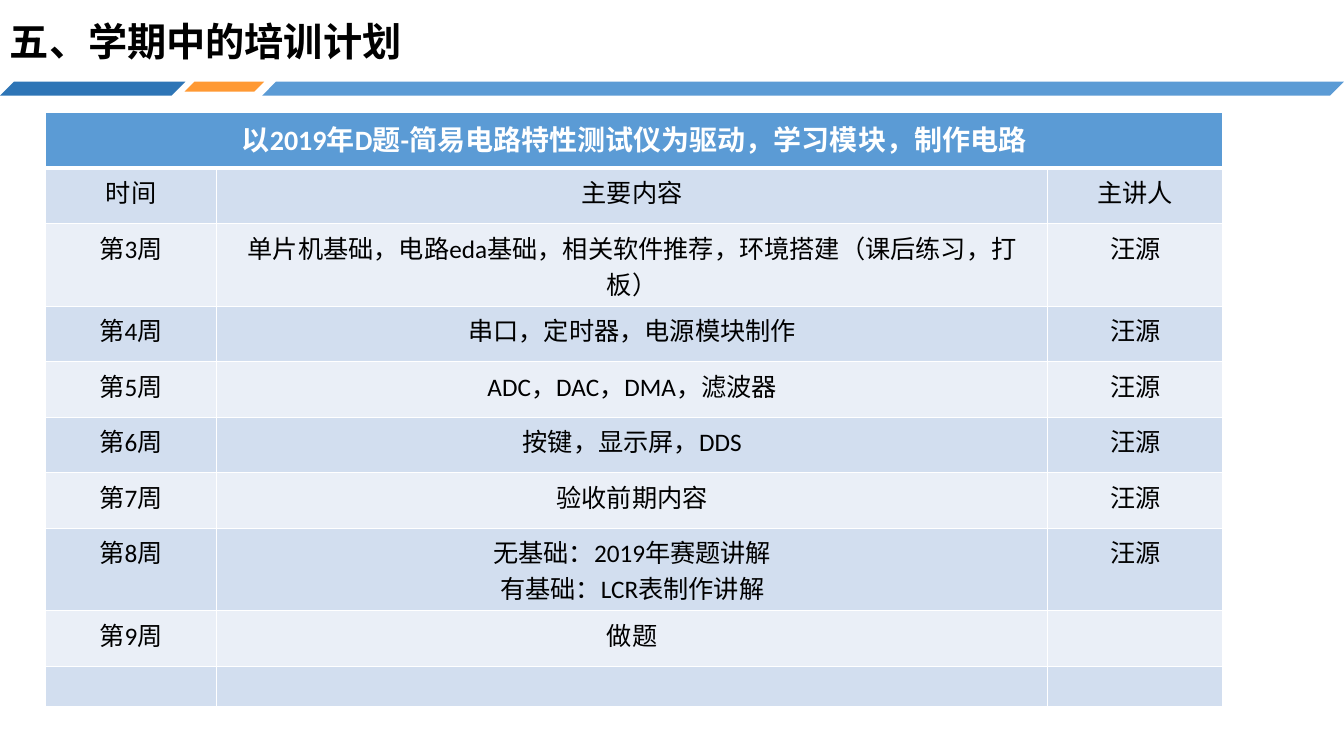
from lxml import etree
from pptx import Presentation
from pptx.dml.color import RGBColor
from pptx.enum import shapes, text
from pptx.oxml.ns import qn
from pptx.util import Inches, Pt

COLORS = {
    "black": "000000",
    "white": "FFFFFF",
    "blue": "5B9BD5",
    "dark_blue": "2E75B6",
    "orange": "FF9933",
    "dark_band": "D2DEEF",
    "light_band": "EAEFF7",
}
CJK_FONT = "Noto Sans CJK SC"
LATIN_FONT = "Calibri"

# left, width, height, color
STRIPES = [
    (2.6, 10.73, 0.14, "blue"),
    (1.83, 0.79, 0.1, "orange"),
    (0, 1.84, 0.14, "dark_blue"),
]

HEADING = "以2019年D题-简易电路特性测试仪为驱动，学习模块，制作电路"
SPEAKER = "汪源"
PLAN = [
    ("时间", "主要内容", "主讲人"),
    ("第3周", "单片机基础，电路eda基础，相关软件推荐，环境搭建（课后练习，打板）", SPEAKER),
    ("第4周", "串口，定时器，电源模块制作", SPEAKER),
    ("第5周", "ADC，DAC，DMA，滤波器", SPEAKER),
    ("第6周", "按键，显示屏，DDS", SPEAKER),
    ("第7周", "验收前期内容", SPEAKER),
    ("第8周", "无基础：2019年赛题讲解\n有基础：LCR表制作讲解", SPEAKER),
    ("第9周", "做题", ""),
    ("", "", ""),
]
COLUMN_WIDTHS = [1.7, 8.24, 1.74]

# Rows with one line, two lines and no text
ONE_LINE, TWO_LINES, EMPTY = 0.55, 0.82, 0.4
ROW_HEIGHTS = [ONE_LINE] * 2 + [TWO_LINES] + [ONE_LINE] * 4 + [TWO_LINES, ONE_LINE, EMPTY]


def rgb(name):
    return RGBColor.from_string(COLORS[name])


def style_paragraph(para, size, color, bold=False, latin=LATIN_FONT):
    font = para.font
    font.size = Pt(size)
    font.bold = bold
    font.color.rgb = rgb(color)
    font.name = latin
    defaults = para._p.pPr.find(qn("a:defRPr"))
    etree.SubElement(defaults, qn("a:ea"), typeface=CJK_FONT)


def add_stripe(page, left, width, height, color):
    stripe = page.shapes.add_shape(
        shapes.MSO_SHAPE.PARALLELOGRAM,
        Inches(left), Inches(0.81), Inches(width), Inches(height))
    stripe.adjustments[0] = 0.99
    stripe.shadow.inherit = False
    stripe.fill.solid()
    stripe.fill.fore_color.rgb = rgb(color)
    stripe.line.fill.background()


def add_title(page, wording):
    box = page.shapes.add_textbox(0, Inches(0.04), Inches(13.33), Inches(0.79))
    frame = box.text_frame
    frame.word_wrap = True
    frame.vertical_anchor = text.MSO_ANCHOR.MIDDLE
    para = frame.paragraphs[0]
    para.text = wording
    para.line_spacing = 0.9
    style_paragraph(para, 28, "black", bold=True, latin=CJK_FONT)


def set_borders(cell, bottom_width):
    properties = cell._tc.get_or_add_tcPr()
    widths = {"a:lnL": 1, "a:lnR": 1, "a:lnT": 1, "a:lnB": bottom_width}
    for index, (tag, width) in enumerate(widths.items()):
        line = etree.Element(qn(tag), w=str(Pt(width)))
        fill = etree.SubElement(line, qn("a:solidFill"))
        etree.SubElement(fill, qn("a:srgbClr"), val=COLORS["white"])
        properties.insert(index, line)


def fill_cell(cell, wording, fill, size=18, color="black", bold=False, bottom_width=1):
    cell.fill.solid()
    cell.fill.fore_color.rgb = rgb(fill)
    set_borders(cell, bottom_width)
    cell.text = wording
    for para in cell.text_frame.paragraphs:
        para.alignment = text.PP_ALIGN.CENTER
        style_paragraph(para, size, color, bold)


def add_plan_table(page):
    frame = page.shapes.add_table(
        len(ROW_HEIGHTS), len(COLUMN_WIDTHS), Inches(0.45), Inches(1.12),
        Inches(sum(COLUMN_WIDTHS)), Inches(sum(ROW_HEIGHTS)))
    table = frame.table
    table.first_row = False
    table.horz_banding = False
    for column, width in zip(table.columns, COLUMN_WIDTHS):
        column.width = Inches(width)
    for row, height in zip(table.rows, ROW_HEIGHTS):
        row.height = Inches(height)

    # Heading across all columns
    table.cell(0, 0).merge(table.cell(0, len(COLUMN_WIDTHS) - 1))
    for index, cell in enumerate(table.rows[0].cells):
        fill_cell(cell, "" if index else HEADING, "blue", 20, "white", True, 3)

    # Banded weekly rows
    for row_index, entries in enumerate(PLAN, start=1):
        band = "dark_band" if row_index % 2 else "light_band"
        for column_index, wording in enumerate(entries):
            fill_cell(table.cell(row_index, column_index), wording, band)


def main():
    deck = Presentation()
    deck.slide_width = Inches(13.33)
    deck.slide_height = Inches(7.5)
    page = deck.slides.add_slide(deck.slide_layouts[6])
    for stripe in STRIPES:
        add_stripe(page, *stripe)
    add_title(page, "五、学期中的培训计划")
    add_plan_table(page)
    deck.save("out.pptx")


if __name__ == "__main__":
    main()
